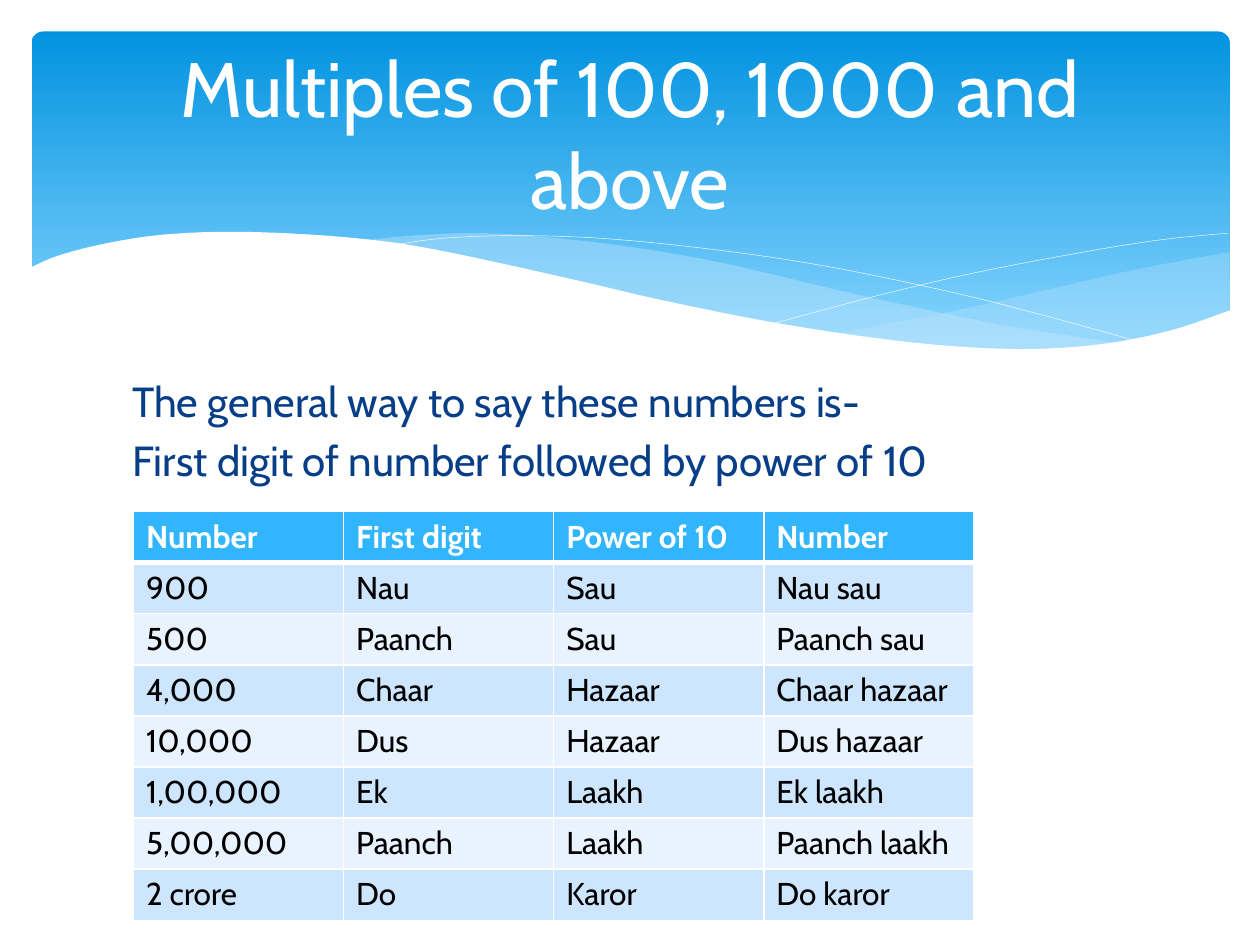
from lxml import etree
from pptx import Presentation
from pptx import util as u
from pptx.dml.color import RGBColor
from pptx.enum import shapes, text
from pptx.oxml.ns import qn

FONT = "Cabin"
WHITE = "FFFFFF"
ROW_FILLS = ("CEE5FE", "E8F3FF")

# Curve knots, in inches from the top left corner of the banner.
RIGHT_BAND = [
    [(9.51, 1.75), (8.81, 1.88), (8.36, 1.98), (7.54, 2.17), (6.81, 2.32), (6.36, 2.4)],
    [(6.36, 2.4), (6.94, 2.47), (7.56, 2.52), (8.1, 2.52), (8.56, 2.48), (8.96, 2.4),
     (9.38, 2.27), (9.51, 2.22)],
]
MIDDLE_BAND = [
    [(2.61, 1.66), (3.03, 1.62), (3.55, 1.6), (4.17, 1.64), (4.89, 1.73), (5.59, 1.86),
     (6.43, 2.06), (7.16, 2.22), (7.82, 2.35), (8.68, 2.48)],
    [(8.68, 2.48), (8.13, 2.53), (7.48, 2.52), (6.7, 2.45), (5.76, 2.3), (4.66, 2.07),
     (4.02, 1.91), (3.37, 1.78), (2.61, 1.66)],
]
FALLING_LINE = [[(2.84, 1.7), (3.28, 1.64), (3.91, 1.62), (4.64, 1.65), (5.57, 1.75),
                 (6.4, 1.88), (7.35, 2.08), (8.06, 2.26), (8.82, 2.47)]]
RISING_LINE = [[(5.88, 2.32), (6.7, 2.1), (7.51, 1.91), (8.41, 1.74), (8.99, 1.65),
                (9.5, 1.6)]]
WHITE_WAVE = [
    [(-0.02, 1.88), (0.21, 1.78), (0.6, 1.68), (1.07, 1.61), (1.68, 1.59), (2.46, 1.63),
     (3.15, 1.72), (4.22, 1.95), (5.04, 2.14), (6.01, 2.33), (7.01, 2.47), (7.84, 2.52),
     (8.5, 2.48), (9.05, 2.37), (9.52, 2.21)],
    [(9.52, 3.04), (-0.02, 3.04)],
]

INTRO = ["The general way to say these numbers is-",
         "First digit of number followed by power of 10"]
NUMBERS = [
    ("Number", "First digit", "Power of 10", "Number"),
    ("900", "Nau", "Sau", "Nau sau"),
    ("500", "Paanch", "Sau", "Paanch sau"),
    ("4,000", "Chaar", "Hazaar", "Chaar hazaar"),
    ("10,000", "Dus", "Hazaar", "Dus hazaar"),
    ("1,00,000", "Ek", "Laakh", "Ek laakh"),
    ("5,00,000", "Paanch", "Laakh", "Paanch laakh"),
    ("2 crore", "Do", "Karor", "Do karor"),
]


def color(value):
    """Turn a hex string into a colour."""
    return RGBColor.from_string(value)


def inches(box):
    """Turn a box in inches into lengths."""
    return [u.Inches(value) for value in box]


def style(paragraph, size, value, bold=False):
    """Set the font of a paragraph."""
    font = paragraph.font
    font.name, font.size, font.bold = FONT, u.Pt(size), bold
    font.color.rgb = color(value)


def smooth(knots, steps=6):
    """Return points on a Catmull-Rom curve through the knots."""
    padded = [knots[0], *knots, knots[-1]]
    points = [knots[0]]
    for a, b, c, d in zip(padded, padded[1:], padded[2:], padded[3:]):
        for t in (step / steps for step in range(1, steps + 1)):
            points.append(tuple(
                0.5 * (2 * q + (r - p) * t + (2 * p - 5 * q + 4 * r - s) * t ** 2
                       + (3 * q - p - 3 * r + s) * t ** 3)
                for p, q, r, s in zip(a, b, c, d)))
    return points


def add_wave(slide, box, curves, fill=None, opacity=100):
    """Draw joined curves as a filled area, or as a thin white line without a fill."""
    points = [(u.Inches(box[0] + x), u.Inches(box[1] + y))
              for knots in curves for x, y in smooth(knots)]
    builder = slide.shapes.build_freeform(*points[0])
    builder.add_line_segments(points[1:], close=fill is not None)
    wave = builder.convert_to_shape()
    wave.shadow.inherit = False
    if fill is None:
        wave.fill.background()
        wave.line.color.rgb = color(WHITE)
        wave.line.width = u.Pt(0.25)
        return
    wave.line.fill.background()
    wave.fill.solid()
    wave.fill.fore_color.rgb = color(fill)
    if opacity < 100:
        rgb = wave.fill._xPr.find(".//" + qn("a:srgbClr"))
        etree.SubElement(rgb, qn("a:alpha"), val=str(opacity * 1000))


def add_banner(slide, box):
    """Draw the blue banner with its waves."""
    banner = slide.shapes.add_shape(shapes.MSO_SHAPE.ROUNDED_RECTANGLE, *inches(box))
    banner.adjustments[0] = 0.034
    banner.shadow.inherit = False
    banner.line.fill.background()
    banner.fill.gradient()
    banner.fill.gradient_angle = 270
    stops = zip(banner.fill.gradient_stops, (0, 0.9), ("0293E0", "83D3FE"))
    for stop, position, value in stops:
        stop.position = position
        stop.color.rgb = color(value)
    add_wave(slide, box, RIGHT_BAND, "C6E7FC", 29)
    add_wave(slide, box, MIDDLE_BAND, "C6E7FC", 40)
    add_wave(slide, box, FALLING_LINE)
    add_wave(slide, box, RISING_LINE)
    add_wave(slide, box, WHITE_WAVE, WHITE)


def add_intro(slide, box):
    """Write the two lines above the table."""
    frame = slide.shapes.add_textbox(*inches(box)).text_frame
    frame.word_wrap = True
    frame.text = "\n".join(INTRO)
    for paragraph in frame.paragraphs:
        paragraph.space_before = u.Pt(4.8)
        style(paragraph, 24, "073E87")


def place_title(slide, box, words):
    """Move the title onto the banner and format it."""
    title = slide.shapes.title
    title.left, title.top, title.width, title.height = inches(box)
    frame = title.text_frame
    frame.text = words
    frame.word_wrap = True
    frame.auto_size = text.MSO_AUTO_SIZE.NONE
    frame.vertical_anchor = text.MSO_ANCHOR.MIDDLE
    frame.paragraphs[0].alignment = text.PP_ALIGN.CENTER
    style(frame.paragraphs[0], 44, WHITE)
    slide.shapes._spTree.append(title._element)


def set_borders(cell, widths):
    """Give a cell white borders, with widths in points by side."""
    properties = cell._tc.get_or_add_tcPr()
    for index, (side, width) in enumerate(widths.items()):
        line = etree.Element(qn("a:ln" + side), w=str(u.Pt(width)))
        fill = etree.SubElement(line, qn("a:solidFill"))
        etree.SubElement(fill, qn("a:srgbClr"), val=WHITE)
        properties.insert(index, line)


def add_numbers(slide, box):
    """Add the table of numbers with equal columns and rows."""
    rows, columns = len(NUMBERS), len(NUMBERS[0])
    table = slide.shapes.add_table(rows, columns, *inches(box)).table
    for row, words in enumerate(NUMBERS):
        header = row == 0
        fill = "31B6FD" if header else ROW_FILLS[(row - 1) % 2]
        widths = {"L": 1, "R": 1, "T": 3 if row == 1 else 1, "B": 3 if header else 1}
        for column, word in enumerate(words):
            cell = table.cell(row, column)
            cell.text = word
            cell.fill.solid()
            cell.fill.fore_color.rgb = color(fill)
            style(cell.text_frame.paragraphs[0], 18, WHITE if header else "000000", header)
            set_borders(cell, widths)


def build():
    """Build and save the presentation."""
    presentation = Presentation()
    presentation.slide_width, presentation.slide_height = u.Inches(10), u.Inches(7.5)
    slide = presentation.slides.add_slide(presentation.slide_layouts[5])
    add_banner(slide, (0.25, 0.25, 9.51, 2.7))
    add_intro(slide, (0.95, 2.93, 8.1, 3.77))
    place_title(slide, (0.5, 0.37, 9, 1.37), "Multiples of 100, 1000 and above")
    add_numbers(slide, (1.06, 4.06, 6.67, 3.24))
    presentation.save("out.pptx")


build()
